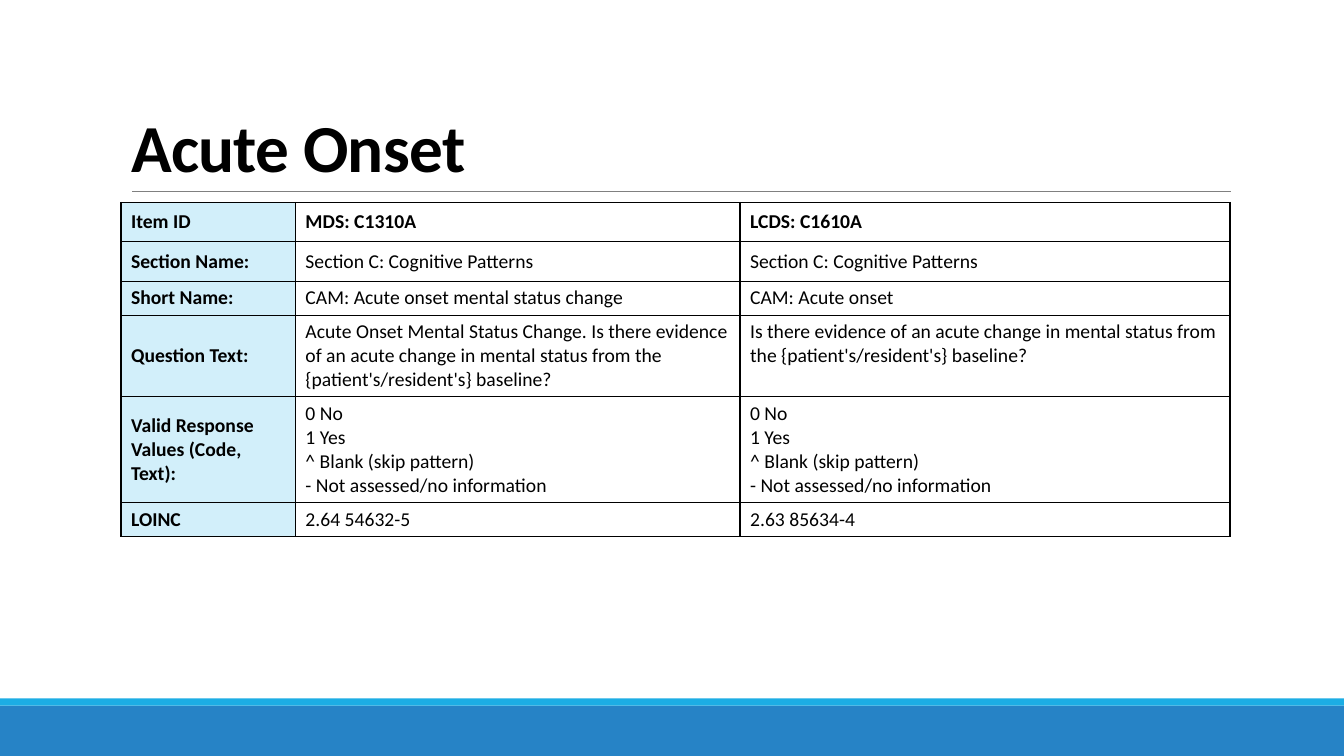
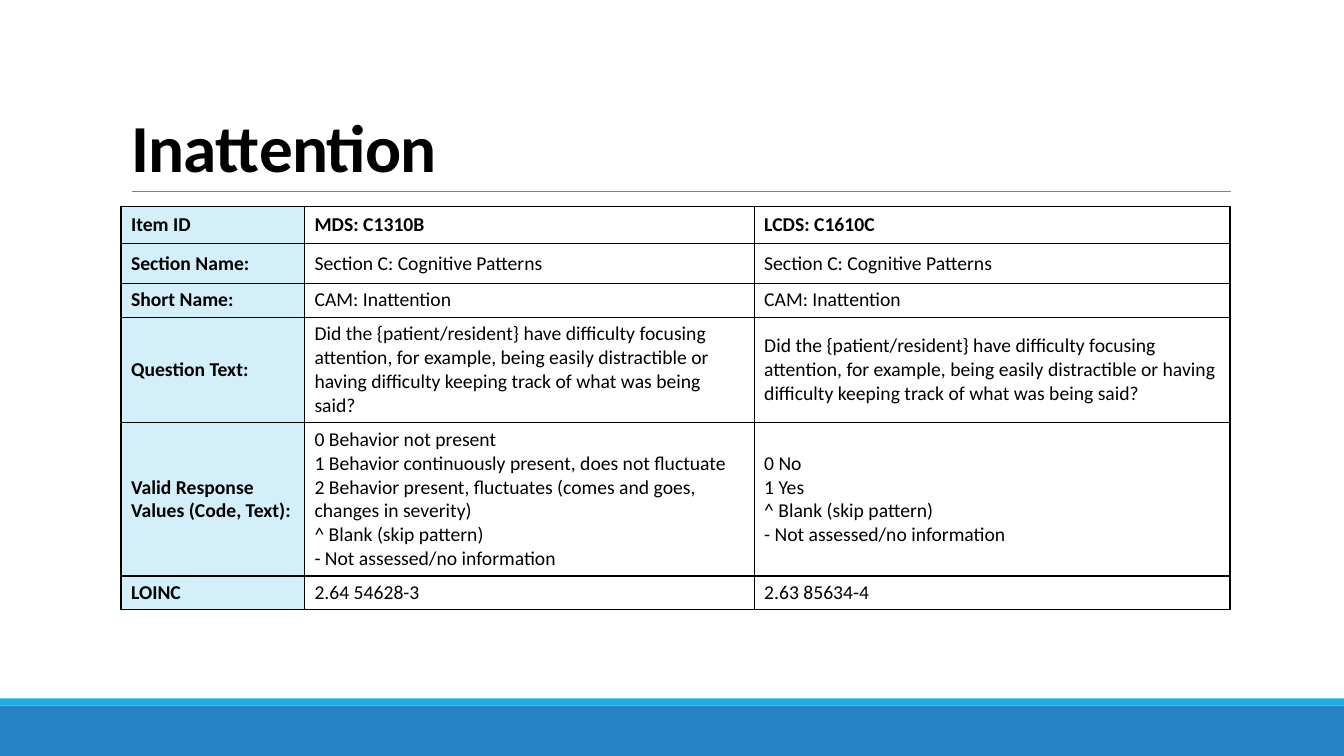
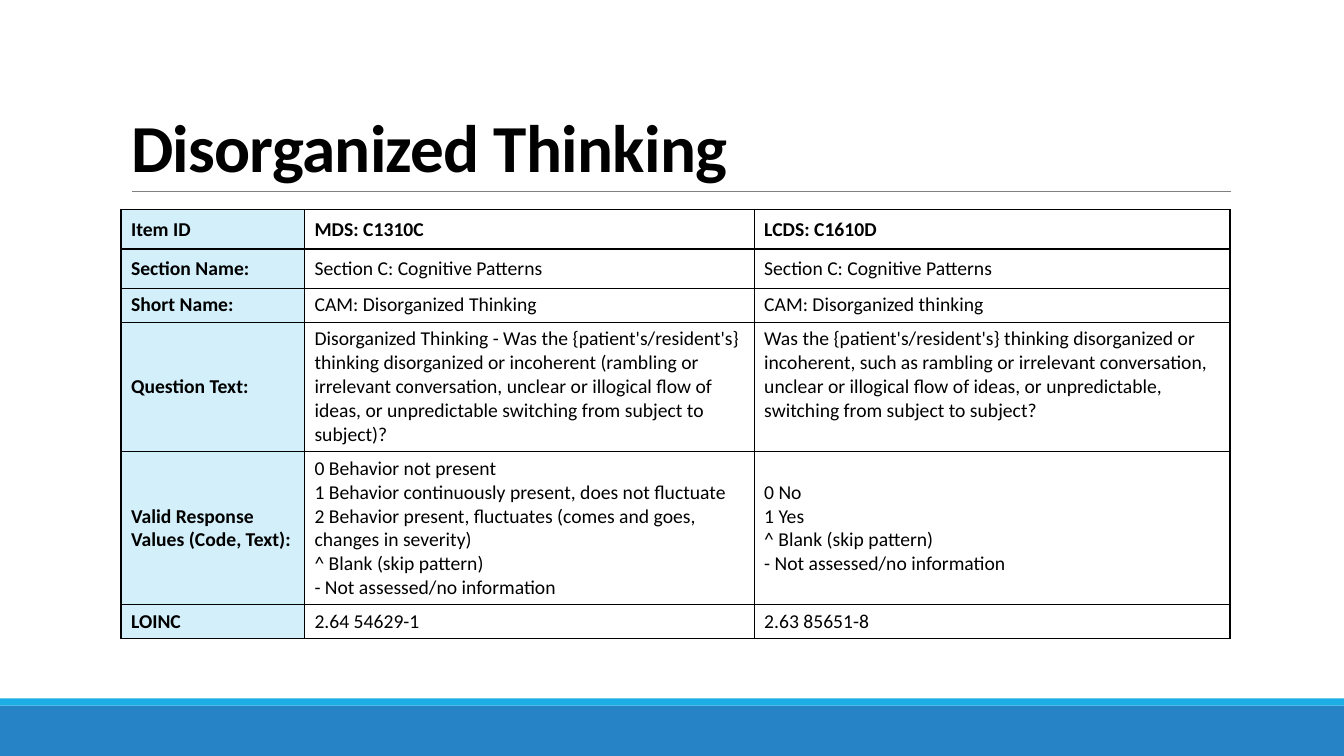
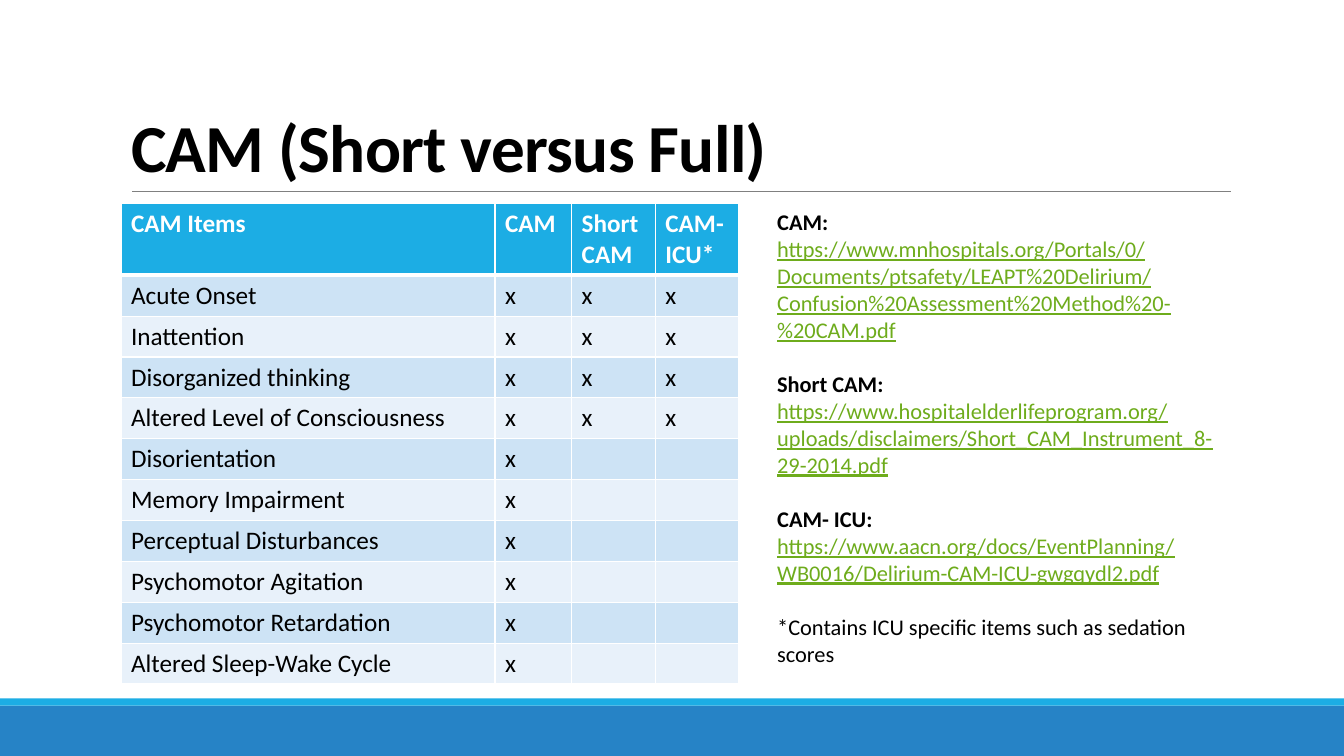
from dataclasses import dataclass

from lxml.etree import SubElement
from pptx import Presentation
from pptx.dml.color import RGBColor
from pptx.enum.shapes import MSO_CONNECTOR, MSO_SHAPE, PP_PLACEHOLDER
from pptx.enum.text import MSO_ANCHOR, MSO_AUTO_SIZE, PP_ALIGN
from pptx.oxml.ns import qn
from pptx.slide import Slide, SlideLayout
from pptx.table import Table, _Cell
from pptx.text.text import _Paragraph, _Run
from pptx.util import Inches, Pt

BLACK = RGBColor(0x00, 0x00, 0x00)
WHITE = RGBColor(0xFF, 0xFF, 0xFF)
GRAY = RGBColor(0x80, 0x80, 0x80)
BLUE = RGBColor(0x26, 0x83, 0xC6)
CYAN = RGBColor(0x1C, 0xAD, 0xE4)
PALE = RGBColor(0xD2, 0xEF, 0xFA)
GREEN = RGBColor(0x6E, 0xAC, 0x1C)
BANDS = (RGBColor(0xCD, 0xE3, 0xF5), RGBColor(0xE8, 0xF1, 0xFA))

FONT = "Calibri"
LEFT = 1.2
WIDE = 13.33

LABELS = (
    "Item ID",
    "Section Name:",
    "Short Name:",
    "Question Text:",
    "Valid Response Values (Code, Text):",
    "LOINC",
)
SECTION = "Section C: Cognitive Patterns"
BLANK = "^ Blank (skip pattern)\n- Not assessed/no information"
YES_NO = "0 No\n1 Yes\n" + BLANK
LEVELS = (
    "0 Behavior not present\n"
    "1 Behavior continuously present, does not fluctuate\n"
    "2 Behavior present, fluctuates (comes and goes, changes in severity)\n"
    + BLANK
)


@dataclass(frozen=True)
class Source:
    """One instrument's version of an item."""

    code: str
    name: str
    question: str
    values: str
    loinc: str
    high: bool = False

    def cells(self) -> tuple[str, ...]:
        """Return the column's texts from top to bottom."""
        return (self.code, SECTION, self.name, self.question, self.values, self.loinc)


@dataclass(frozen=True)
class Item:
    """An item slide that compares two instruments."""

    title: str
    top: float
    cols: tuple[float, ...]
    rows: tuple[float, ...]
    mds: Source
    lcds: Source


@dataclass(frozen=True)
class Link:
    """A labelled web address."""

    label: str
    url: str


FOCUS = (
    "Did the {patient/resident} have difficulty focusing attention, for example, "
    "being easily distractible or having difficulty keeping track of what was being said?"
)
ITEMS = (
    Item(
        "Acute Onset", 2.01, (1.73, 4.41, 4.86), (0.39, 0.39, 0.33, 0.79, 1.03, 0.33),
        Source(
            "MDS: C1310A", "CAM: Acute onset mental status change",
            "Acute Onset Mental Status Change. Is there evidence of an acute change in "
            "mental status from the {patient's/resident's} baseline?",
            YES_NO, "2.64 54632-5",
        ),
        Source(
            "LCDS: C1610A", "CAM: Acute onset",
            "Is there evidence of an acute change in mental status from the "
            "{patient's/resident's} baseline?",
            YES_NO, "2.63 85634-4", True,
        ),
    ),
    Item(
        "Inattention", 2.05, (1.82, 4.46, 4.72), (0.37, 0.39, 0.33, 1.03, 1.5, 0.33),
        Source("MDS: C1310B", "CAM: Inattention", FOCUS, LEVELS, "2.64 54628-3"),
        Source("LCDS: C1610C", "CAM: Inattention", FOCUS, YES_NO, "2.63 85634-4"),
    ),
    Item(
        "Disorganized Thinking", 2.08, (1.82, 4.46, 4.72), (0.39, 0.39, 0.33, 1.27, 1.5, 0.33),
        Source(
            "MDS: C1310C", "CAM: Disorganized Thinking",
            "Disorganized Thinking - Was the {patient's/resident's} thinking disorganized "
            "or incoherent (rambling or irrelevant conversation, unclear or illogical flow "
            "of ideas, or unpredictable switching from subject to subject)?",
            LEVELS, "2.64 54629-1",
        ),
        Source(
            "LCDS: C1610D", "CAM: Disorganized thinking",
            "Was the {patient's/resident's} thinking disorganized or incoherent, such as "
            "rambling or irrelevant conversation, unclear or illogical flow of ideas, or "
            "unpredictable, switching from subject to subject?",
            YES_NO, "2.63 85651-8", True,
        ),
    ),
)

HEADS = ("CAM Items", "CAM", "Short CAM", "CAM-ICU*")
SHARED = (
    "Acute Onset",
    "Inattention",
    "Disorganized thinking",
    "Altered Level of Consciousness",
)
FULL = (
    "Disorientation",
    "Memory Impairment",
    "Perceptual Disturbances",
    "Psychomotor Agitation",
    "Psychomotor Retardation",
    "Altered Sleep-Wake Cycle",
)
LINKS = (
    Link(
        "CAM:",
        "https://www.mnhospitals.org/Portals/0/Documents/ptsafety/LEAPT%20Delirium/"
        "Confusion%20Assessment%20Method%20-%20CAM.pdf",
    ),
    Link(
        "Short CAM:",
        "https://www.hospitalelderlifeprogram.org/uploads/disclaimers/"
        "Short_CAM_Instrument_8-29-2014.pdf",
    ),
    Link(
        "CAM- ICU:",
        "https://www.aacn.org/docs/EventPlanning/WB0016/Delirium-CAM-ICU-gwgqydl2.pdf",
    ),
)
NOTE = "*Contains ICU specific items such as sedation scores"


def add_run(para: _Paragraph, text: str, size: float, color: RGBColor = BLACK,
            bold: bool = False, under: bool = False) -> _Run:
    """Add one formatted run to a paragraph."""
    run = para.add_run()
    run.text = text
    font = run.font
    font.name, font.size, font.bold, font.underline = FONT, Pt(size), bold, under
    font.color.rgb = color
    return run


def add_band(slide: Slide, top: float, high: float, color: RGBColor):
    """Draw a full-width footer band."""
    band = slide.shapes.add_shape(
        MSO_SHAPE.RECTANGLE, 0, Inches(top), Inches(WIDE), Inches(high))
    band.shadow.inherit = False
    band.fill.solid()
    band.fill.fore_color.rgb = color
    band.line.fill.background()
    return band


def add_rule(slide: Slide):
    """Draw the thin line under the title."""
    rule = slide.shapes.add_connector(
        MSO_CONNECTOR.STRAIGHT, Inches(1.31), Inches(1.9), Inches(12.21), Inches(1.9))
    rule.line.color.rgb = GRAY
    rule.line.width = Pt(0.5)
    SubElement(rule.element.spPr, qn("a:effectLst"))
    return rule


def set_frame(layout: SlideLayout, slide: Slide) -> None:
    """Give the layout its bands and rule, and drop its unused placeholders."""
    tree = layout.shapes.element
    for holder in list(layout.placeholders):
        if holder.placeholder_format.type != PP_PLACEHOLDER.TITLE:
            tree.remove(holder.element)
    for shape in (add_band(slide, 7, 0.5, BLUE), add_band(slide, 6.93, 0.07, CYAN),
                  add_rule(slide)):
        tree.append(shape.element)


def set_title(slide: Slide, text: str) -> None:
    """Place and format the slide title."""
    title = slide.shapes.title
    title.left, title.top = Inches(LEFT), Inches(0.31)
    title.width, title.height = Inches(11), Inches(1.59)
    frame = title.text_frame
    frame.word_wrap = True
    frame.auto_size = MSO_AUTO_SIZE.NONE
    frame.vertical_anchor = MSO_ANCHOR.BOTTOM
    para = frame.paragraphs[0]
    para.alignment = PP_ALIGN.LEFT
    para.line_spacing = 0.85
    run = add_run(para, text, 48, bold=True)
    run.font._element.set("spc", "-50")


def add_grid(slide: Slide, top: float, cols: tuple[float, ...],
             rows: tuple[float, ...]) -> Table:
    """Add a plain table with the given column widths and row heights."""
    grid = slide.shapes.add_table(
        len(rows), len(cols), Inches(LEFT), Inches(top),
        Inches(sum(cols)), Inches(sum(rows))).table
    grid.first_row = grid.horz_banding = False
    for col, width in zip(grid.columns, cols):
        col.width = Inches(width)
    for row, high in zip(grid.rows, rows):
        row.height = Inches(high)
    return grid


def set_edges(cell: _Cell, color: RGBColor, top: float = 1, base: float = 1) -> None:
    """Draw the four borders of a cell."""
    props = cell._tc.get_or_add_tcPr()
    for side, width in (("L", 1), ("R", 1), ("T", top), ("B", base)):
        edge = SubElement(props, qn(f"a:ln{side}"), w=str(Pt(width)))
        fill = SubElement(edge, qn("a:solidFill"))
        SubElement(fill, qn("a:srgbClr"), val=str(color))


def set_cell(cell: _Cell, text: str, size: float, fill: RGBColor | None,
             color: RGBColor = BLACK, bold: bool = False) -> None:
    """Fill a cell and write its lines."""
    if fill is None:
        cell.fill.background()
    else:
        cell.fill.solid()
        cell.fill.fore_color.rgb = fill
    para = cell.text_frame.paragraphs[0]
    if not text:
        para.font.size = Pt(size)
        return
    for num, line in enumerate(text.split("\n")):
        if num:
            para.add_line_break()
        add_run(para, line, size, color, bold)


def draw_item(slide: Slide, item: Item) -> None:
    """Draw the table that compares both versions of an item."""
    grid = add_grid(slide, item.top, item.cols, item.rows)
    texts = (LABELS, item.mds.cells(), item.lcds.cells())
    for x, col in enumerate(texts):
        for y, text in enumerate(col):
            cell = grid.cell(y, x)
            set_edges(cell, BLACK)
            set_cell(cell, text, 14, None if x else PALE, bold=x == 0 or y == 0)
            cell.vertical_anchor = MSO_ANCHOR.MIDDLE
    if item.lcds.high:
        grid.cell(LABELS.index("Question Text:"), 2).vertical_anchor = MSO_ANCHOR.TOP


def draw_forms(slide: Slide) -> None:
    """Draw the table of items in each CAM form."""
    texts = [HEADS]
    texts += [(name, "x", "x", "x") for name in SHARED]
    texts += [(name, "x", "", "") for name in FULL]
    rows = (0.7,) + (0.4,) * (len(texts) - 1)
    grid = add_grid(slide, 2.02, (3.71, 0.76, 0.83, 0.83), rows)
    for y, row in enumerate(texts):
        head = y == 0
        for x, text in enumerate(row):
            cell = grid.cell(y, x)
            set_edges(cell, WHITE, 3 if y == 1 else 1, 3 if head else 1)
            set_cell(cell, text, 18, CYAN if head else BANDS[(y - 1) % 2],
                     WHITE if head else BLACK, head)


def draw_links(slide: Slide) -> None:
    """Write the web addresses of the forms and the note."""
    box = slide.shapes.add_textbox(Inches(7.61), Inches(2.02), Inches(4.59), Inches(4.41))
    frame = box.text_frame
    frame.word_wrap = True
    para = frame.paragraphs[0]
    for link in LINKS:
        add_run(para, link.label, 16, bold=True)
        add_run(frame.add_paragraph(), link.url, 16, GREEN, under=True)
        para = frame.add_paragraph()
        para.space_before = Pt(19.5)
    add_run(para, NOTE, 16)


def main() -> None:
    """Build and save the slides."""
    deck = Presentation()
    deck.slide_width, deck.slide_height = Inches(WIDE), Inches(7.5)
    layout = deck.slide_layouts.get_by_name("Title Only")
    for item in ITEMS:
        slide = deck.slides.add_slide(layout)
        set_title(slide, item.title)
        draw_item(slide, item)
    last = deck.slides.add_slide(layout)
    set_title(last, "CAM (Short versus Full)")
    draw_forms(last)
    draw_links(last)
    set_frame(layout, last)
    deck.save("out.pptx")


if __name__ == "__main__":
    main()
